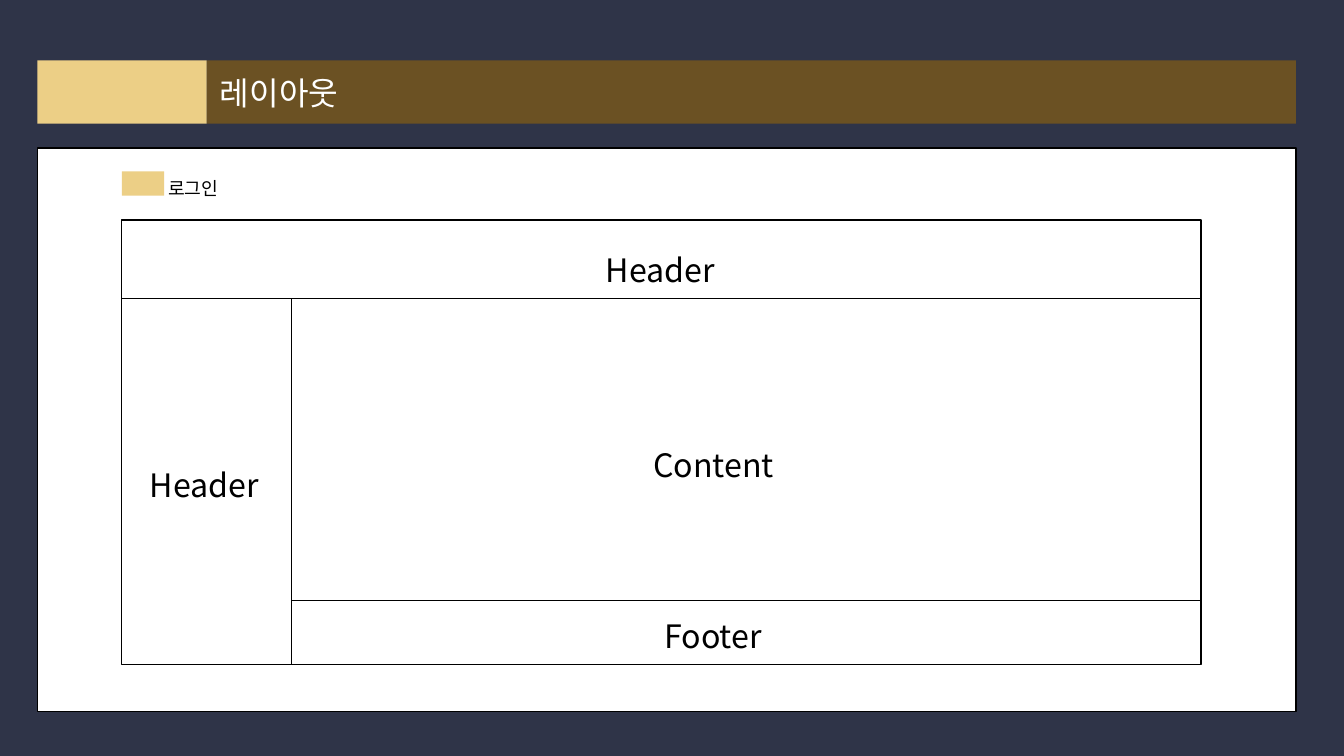
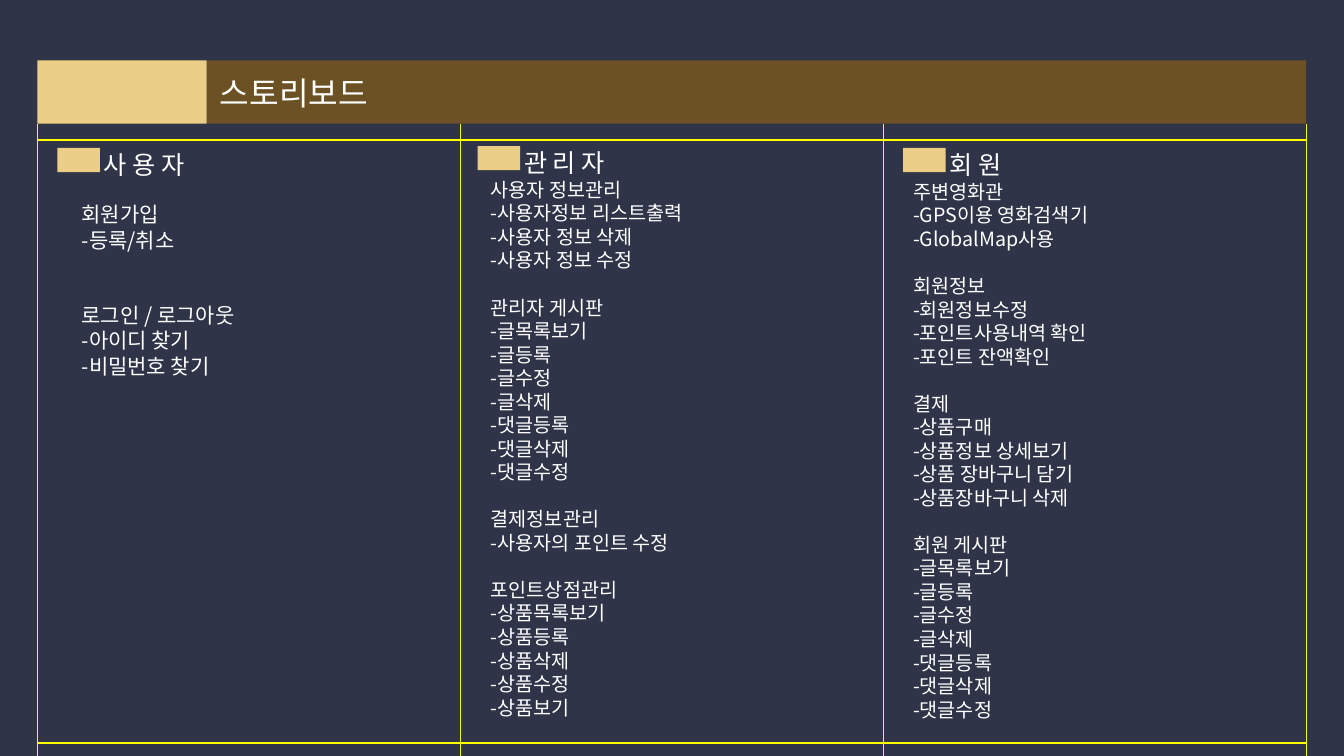
from dataclasses import dataclass

from lxml import etree
from pptx import Presentation
from pptx.dml.color import RGBColor
from pptx.enum import shapes as kinds, text as modes
from pptx.oxml import ns
from pptx.util import Cm, Pt

FONT = "Noto Sans CJK KR"
HUES = {
    "navy": "2F3448", "brown": "6B5123", "sand": "ECCF86",
    "white": "FFFFFF", "black": "000000", "yellow": "FFFF00",
}
WIDE, HIGH = 33.87, 19.05
LEFT = 0.94
BAND_TOP, BAND_HIGH, TAB_WIDE = 1.52, 1.6, 4.27


@dataclass
class Box:
    left: float
    top: float
    wide: float
    high: float

    @property
    def right(self) -> float:
        return self.left + self.wide

    @property
    def base(self) -> float:
        return self.top + self.high

    def cm(self) -> list:
        return [Cm(n) for n in (self.left, self.top, self.wide, self.high)]


@dataclass
class Style:
    size: int
    hue: str
    pitch: float = 1.25


@dataclass
class Label:
    text: str
    left: float
    top: float


@dataclass
class Column:
    head: Label
    body: Box
    size: int
    gap: int
    groups: list[list[str]]


POSTS = ["글목록보기", "글등록", "글수정", "글삭제", "댓글등록", "댓글삭제", "댓글수정"]


def group(head: str, *items: str) -> list[str]:
    return [head] + ["-" + item for item in items]


AREAS = [
    Label("Header", 14.94, 6.1),
    Label("Header", 3.45, 11.53),
    Label("Content", 16.13, 11.02),
    Label("Footer", 16.41, 15.34),
]

COLUMNS = [
    Column(Label("사 용 자", 1.45, 3.73), Box(1.73, 4.93, 9.07, 4.83), 15, 2, [
        group("회원가입", "등록/취소"),
        group("로그인 / 로그아웃", "아이디 찾기", "비밀번호 찾기"),
    ]),
    Column(Label("관 리 자", 12.04, 3.68), Box(12.04, 4.32, 9.68, 14.1), 14, 1, [
        group("사용자 정보관리", "사용자정보 리스트출력", "사용자 정보 삭제", "사용자 정보 수정"),
        group("관리자 게시판", *POSTS),
        group("결제정보관리", "사용자의 포인트 수정"),
        group("포인트상점관리", "상품목록보기", "상품등록", "상품삭제", "상품수정", "상품보기"),
    ]),
    Column(Label("회 원", 22.76, 3.73), Box(22.68, 4.37, 9.6, 14.1), 14, 1, [
        group("주변영화관", "GPS이용 영화검색기", "GlobalMap사용"),
        group("회원정보", "회원정보수정", "포인트사용내역 확인", "포인트 잔액확인"),
        group("결제", "상품구매", "상품정보 상세보기", "상품 장바구니 담기", "상품장바구니 삭제"),
        group("회원 게시판", *POSTS),
    ]),
]


def tint(name: str) -> RGBColor:
    return RGBColor.from_string(HUES[name])


def write(shape, groups: list[list[str]], style: Style, gap: int = 0) -> None:
    """Write groups of lines, with a gap counted in lines between groups."""
    frame = shape.text_frame
    frame.word_wrap = True
    frame.margin_left = frame.margin_right = Cm(0.33)
    frame.margin_top = frame.margin_bottom = Cm(0.16)
    step = style.size * style.pitch
    para = frame.paragraphs[0]
    for i, lines in enumerate(groups):
        for j, line in enumerate(lines):
            if i or j:
                para = frame.add_paragraph()
            para.alignment = modes.PP_ALIGN.LEFT
            para.line_spacing = Pt(step)
            if i and not j:
                para.space_before = Pt(step * gap)
            run = para.add_run()
            run.text = line
            run.font.size = Pt(style.size)
            run.font.name = FONT
            run.font.color.rgb = tint(style.hue)
            east = etree.SubElement(run.font._element, ns.qn("a:ea"))
            east.set("typeface", FONT)


def add_rect(slide, box: Box, fill: str, edge: str = ""):
    shape = slide.shapes.add_shape(kinds.MSO_SHAPE.RECTANGLE, *box.cm())
    shape.shadow.inherit = False
    shape.fill.solid()
    shape.fill.fore_color.rgb = tint(fill)
    if edge:
        shape.line.color.rgb = tint(edge)
        shape.line.width = Pt(1)
    else:
        shape.line.fill.background()
    return shape


def add_text(slide, box: Box, groups: list[list[str]], style: Style, gap: int = 0) -> None:
    shape = slide.shapes.add_textbox(*box.cm())
    write(shape, groups, style, gap)


def add_line(slide, x1: float, y1: float, x2: float, y2: float,
             hue: str, width: float) -> None:
    line = slide.shapes.add_connector(
        kinds.MSO_CONNECTOR.STRAIGHT, Cm(x1), Cm(y1), Cm(x2), Cm(y2))
    line.line.color.rgb = tint(hue)
    line.line.width = Pt(width)
    etree.SubElement(line._element.spPr, ns.qn("a:effectLst"))


def add_head(slide, label: Label, style: Style, lift: float) -> None:
    """Draw a sand chip with its label, raised by lift, to the right."""
    add_rect(slide, Box(label.left, label.top, 1.07, 0.61), "sand")
    box = Box(label.left + 0.84, label.top - lift, 6.4, 1.09)
    add_text(slide, box, [[label.text]], style)


def add_page(deck, title: str, right: float):
    """Add a slide with the background and title band that all share."""
    slide = deck.slides.add_slide(deck.slide_layouts[6])
    slide.background.fill.solid()
    slide.background.fill.fore_color.rgb = tint("navy")
    start = LEFT + TAB_WIDE
    band = add_rect(slide, Box(start, BAND_TOP, right - start, BAND_HIGH), "brown")
    band.text_frame.vertical_anchor = modes.MSO_ANCHOR.MIDDLE
    write(band, [[title]], Style(23, "white"))
    add_rect(slide, Box(LEFT, BAND_TOP, TAB_WIDE, BAND_HIGH), "sand")
    return slide


def add_plan(deck) -> None:
    panel = Box(LEFT, 3.73, 31.72, 14.2)
    frame = Box(3.07, 5.54, 27.2, 11.2)
    side, top, foot = 7.34, 7.52, 15.14
    slide = add_page(deck, "레이아웃", panel.right)
    add_rect(slide, panel, "white", "black")
    add_head(slide, Label("로그인", frame.left, 4.32), Style(13, "black"), 0.03)
    add_rect(slide, frame, "white", "black")
    for ends in (
        (frame.left, top, frame.right, top),
        (side, top, side, frame.base),
        (side, foot, frame.right, foot),
    ):
        add_line(slide, *ends, "black", 0.5)
    for area in AREAS:
        box = Box(area.left, area.top, 3.86, 1.32)
        add_text(slide, box, [[area.text]], Style(23, "black"))


def add_board(deck) -> None:
    step = 10.66
    right = LEFT + step * len(COLUMNS)
    slide = add_page(deck, "스토리보드", right)
    for col in COLUMNS:
        add_head(slide, col.head, Style(18, "white"), 0.15)
    for i in range(len(COLUMNS) + 1):
        x = LEFT + i * step
        add_line(slide, x, BAND_TOP + BAND_HIGH, x, HIGH, "yellow", 1)
    for y in (3.53, 18.72):
        add_line(slide, LEFT, y, right, y, "yellow", 1)
    for col in COLUMNS:
        add_text(slide, col.body, col.groups, Style(col.size, "white", 1.2), col.gap)


def main() -> None:
    deck = Presentation()
    deck.slide_width, deck.slide_height = Cm(WIDE), Cm(HIGH)
    add_plan(deck)
    add_board(deck)
    deck.save("out.pptx")


if __name__ == "__main__":
    main()
